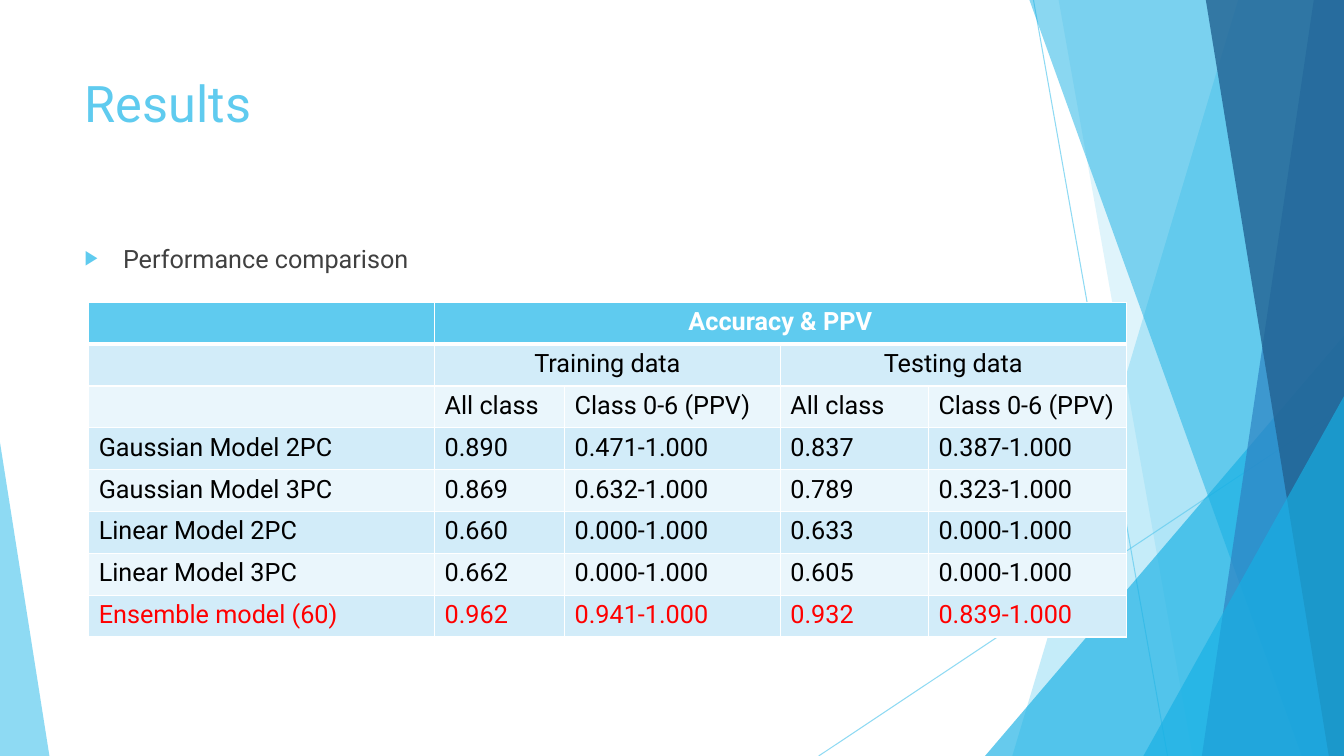
from lxml import etree
from pptx import Presentation
from pptx.dml.color import RGBColor
from pptx.enum.shapes import MSO_CONNECTOR, MSO_SHAPE
from pptx.enum.text import MSO_ANCHOR, MSO_AUTO_SIZE, PP_ALIGN
from pptx.oxml.ns import qn
from pptx.util import Inches, Pt

STRAIGHT = MSO_CONNECTOR.STRAIGHT
TRIANGLE = MSO_SHAPE.ISOSCELES_TRIANGLE
TOP = MSO_ANCHOR.TOP
NO_FIT = MSO_AUTO_SIZE.NONE
LEFT, CENTER = PP_ALIGN.LEFT, PP_ALIGN.CENTER

WIDTH, HEIGHT = 13.33, 7.5
FONT = "Roboto"
COLORS = {
    "sky": "5FCBEF", "cyan": "17B0E4", "blue": "2E83C3", "navy": "226292",
    "body": "404040", "black": "000000", "white": "FFFFFF", "red": "FF0000",
    "band_dark": "D2ECF9", "band_light": "EAF6FC",
}

RAYS = [((10.25, 0), (11.58, HEIGHT)), ((WIDTH, 4.03), (8.12, HEIGHT))]
# Each facet: x at the top, x at the bottom, colour, opacity; it runs to the right edge.
BACK_FACETS = [(12.28, 10.04, "sky", 36), (10.5, 11.83, "sky", 20)]
FRONT_FACETS = [(10.21, 12.91, "cyan", 50), (13.03, 11.92, "blue", 70),
                (11.96, 13.18, "navy", 80)]

COLUMN_WIDTHS = [3.43, 1.29, 2.14, 1.47, 1.96]
ROW_HEIGHT = 0.415
ROWS = [
    ["", "Accuracy & PPV", "", "", ""],
    ["", "Training data", "", "Testing data", ""],
    ["", "All class", "Class 0-6 (PPV)", "All class", "Class 0-6 (PPV)"],
    ["Gaussian Model 2PC", "0.890", "0.471-1.000", "0.837", "0.387-1.000"],
    ["Gaussian Model 3PC", "0.869", "0.632-1.000", "0.789", "0.323-1.000"],
    ["Linear Model 2PC", "0.660", "0.000-1.000", "0.633", "0.000-1.000"],
    ["Linear Model 3PC", "0.662", "0.000-1.000", "0.605", "0.000-1.000"],
    ["Ensemble model (60)", "0.962", "0.941-1.000", "0.932", "0.839-1.000"],
]
MERGES = [((0, 1), (0, 4)), ((1, 1), (1, 2)), ((1, 3), (1, 4))]


def rgb(name):
    return RGBColor.from_string(COLORS[name])


def set_opacity(element, percent):
    color = next(element.iter(qn("a:srgbClr")))
    etree.SubElement(color, qn("a:alpha"), val=str(percent * 1000))


def paint(shape, color, opacity):
    shape.shadow.inherit = False
    shape.fill.solid()
    shape.fill.fore_color.rgb = rgb(color)
    set_opacity(shape._element.spPr, opacity)
    shape.line.fill.background()


def style_font(para, size, color, bold=False):
    for span in para.runs:
        span.font.name = FONT
        span.font.size = Pt(size)
        span.font.bold = bold
        span.font.color.rgb = rgb(color)


def add_ray(page, start, end):
    ray = page.shapes.add_connector(STRAIGHT, *map(Inches, start + end))
    ray.line.width = Pt(0.75)
    ray.line.color.rgb = rgb("sky")
    properties = ray._element.spPr
    set_opacity(properties, 70)
    etree.SubElement(properties, qn("a:effectLst"))


def add_facet(page, top_x, bottom_x, color, opacity):
    builder = page.shapes.build_freeform(Inches(top_x), 0)
    corners = [(WIDTH, 0), (WIDTH, HEIGHT), (bottom_x, HEIGHT)]
    builder.add_line_segments([(Inches(x), Inches(y)) for x, y in corners])
    paint(builder.convert_to_shape(), color, opacity)


def add_triangle(page, box, apex, color, opacity):
    triangle = page.shapes.add_shape(TRIANGLE, *map(Inches, box))
    triangle.adjustments[0] = apex
    paint(triangle, color, opacity)


def add_backdrop(page):
    for start, end in RAYS:
        add_ray(page, start, end)
    for facet in BACK_FACETS:
        add_facet(page, *facet)
    add_triangle(page, (9.77, 3.33, 3.56, 4.17), 1, "cyan", 66)
    for facet in FRONT_FACETS:
        add_facet(page, *facet)
    add_triangle(page, (11.34, 3.93, 1.99, 3.57), 1, "cyan", 66)
    add_triangle(page, (0, 4.39, 0.49, 3.11), 0, "sky", 70)


def fill_placeholder(page, holder, box, text, size, color):
    """Place a placeholder in front of the backdrop and return its paragraph."""
    page.shapes._spTree.append(holder._element)
    holder.left, holder.top, holder.width, holder.height = map(Inches, box)
    frame = holder.text_frame
    frame.word_wrap = True
    frame.auto_size = NO_FIT
    frame.vertical_anchor = TOP
    para = frame.paragraphs[0]
    para.text = text
    para.alignment = LEFT
    para.space_before = Pt(0)
    style_font(para, size, color)
    return para


def add_bullet(para, indent):
    properties = para._p.get_or_add_pPr()
    properties.set("marL", str(Inches(indent)))
    properties.set("indent", str(-Inches(indent)))
    color = etree.SubElement(properties, qn("a:buClr"))
    etree.SubElement(color, qn("a:srgbClr"), val=COLORS["sky"])
    etree.SubElement(properties, qn("a:buSzPct"), val="80000")
    etree.SubElement(properties, qn("a:buFont"), typeface="Arial")
    etree.SubElement(properties, qn("a:buChar"), char="▶")


def add_borders(cell, bottom_width):
    properties = cell._tc.get_or_add_tcPr()
    for side, width in (("L", 1), ("R", 1), ("T", 1), ("B", bottom_width)):
        line = etree.SubElement(properties, qn(f"a:ln{side}"), w=str(Pt(width)))
        fill = etree.SubElement(line, qn("a:solidFill"))
        etree.SubElement(fill, qn("a:srgbClr"), val=COLORS["white"])


def row_colors(row):
    """Return the fill and the text colour of a row."""
    if row == 0:
        return "sky", "white"
    band = "band_dark" if row % 2 else "band_light"
    return band, "red" if row == len(ROWS) - 1 else "black"


def add_results_table(page, left, top):
    box = (left, top, sum(COLUMN_WIDTHS), ROW_HEIGHT * len(ROWS))
    frame = page.shapes.add_table(len(ROWS), len(COLUMN_WIDTHS), *map(Inches, box))
    table = frame.table
    for column, width in zip(table.columns, COLUMN_WIDTHS):
        column.width = Inches(width)
    for row, texts in enumerate(ROWS):
        table.rows[row].height = Inches(ROW_HEIGHT)
        fill, color = row_colors(row)
        for column, text in enumerate(texts):
            cell = table.cell(row, column)
            add_borders(cell, 3 if row == 0 else 1)
            cell.fill.solid()
            cell.fill.fore_color.rgb = rgb(fill)
            if text:
                cell.text = text
                para = cell.text_frame.paragraphs[0]
                para.alignment = CENTER if row < 2 else LEFT
                style_font(para, 18, color, bold=row == 0)
    for first, last in MERGES:
        table.cell(*first).merge(table.cell(*last))


def main():
    deck = Presentation()
    deck.slide_width, deck.slide_height = Inches(WIDTH), Inches(HEIGHT)
    page = deck.slides.add_slide(deck.slide_layouts[1])
    title, body = page.placeholders
    add_backdrop(page)
    fill_placeholder(page, title, (0.74, 0.67, 9.4, 1.44), "Results", 36, "sky")
    item = fill_placeholder(page, body, (0.74, 2.36, 9.4, 4.24),
                            "Performance comparison", 18, "body")
    add_bullet(item, 0.38)
    add_results_table(page, 0.88, 3)
    deck.save("out.pptx")


if __name__ == "__main__":
    main()
